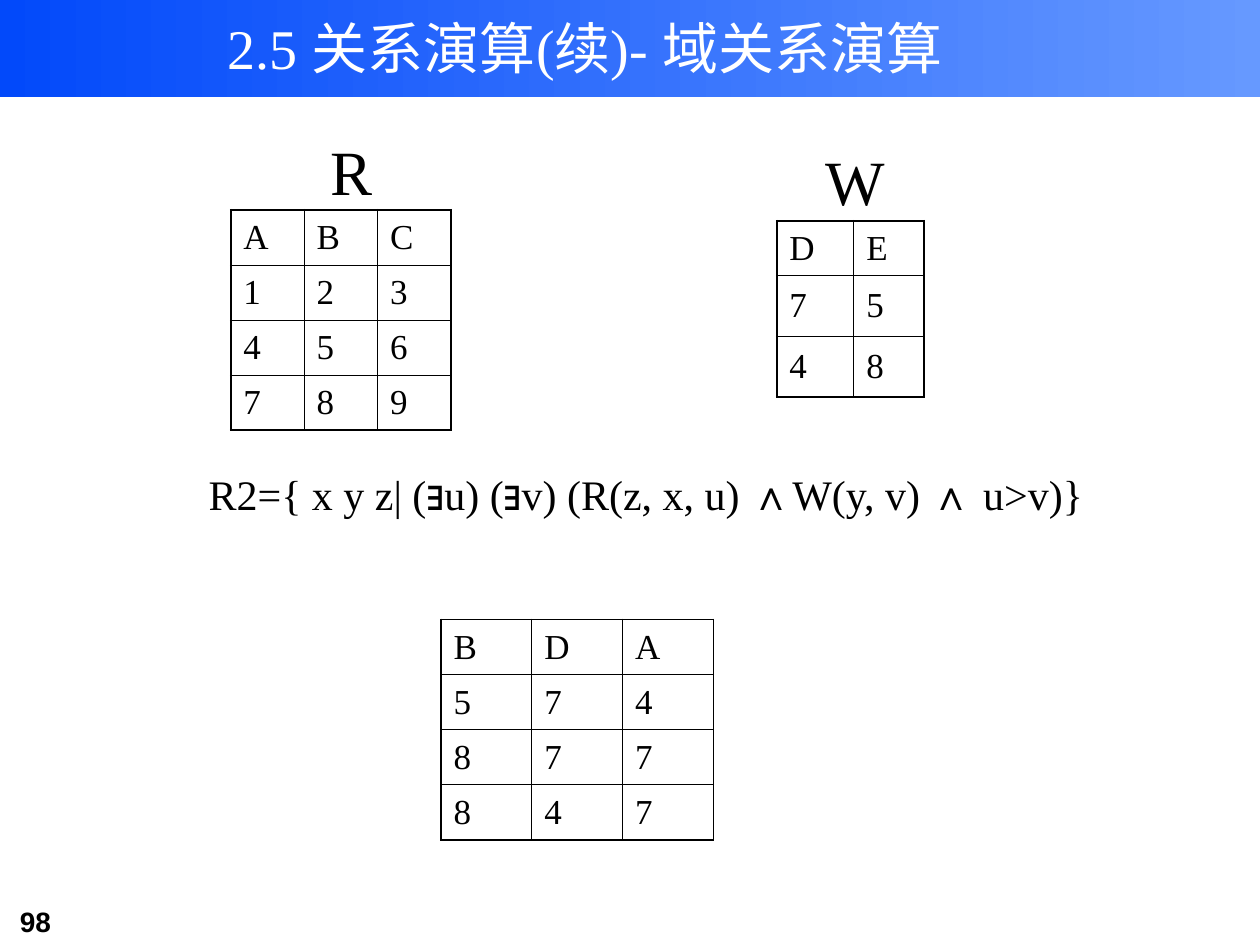
from lxml.etree import SubElement
from pptx import Presentation
from pptx.dml.color import RGBColor
from pptx.enum.shapes import MSO_SHAPE
from pptx.enum.text import MSO_ANCHOR, MSO_AUTO_SIZE, PP_ALIGN
from pptx.oxml.ns import qn
from pptx.util import Cm, Pt

SERIF, SANS = "Times New Roman", "Arial"
OUTER, INNER = Pt(1.08), Pt(0.45)


def rgb(hex_color):
    return RGBColor.from_string(hex_color)


def style(font, size, name=SERIF, color="000000", bold=False):
    font.size, font.name, font.bold = Pt(size), name, bold
    font.color.rgb = rgb(color)


prs = Presentation()
prs.slide_width, prs.slide_height = Cm(25.4), Cm(19.05)
slide = prs.slides.add_slide(prs.slide_layouts[5])

# Header band with the title in front of it
band = slide.shapes.add_shape(MSO_SHAPE.RECTANGLE, 0, 0, prs.slide_width, Cm(1.96))
band.shadow.inherit = False
band.line.fill.background()
band.fill.gradient()
band.fill.gradient_angle = 0
for stop, color in zip(band.fill.gradient_stops, ("0249FA", "6699FF")):
    stop.color.rgb = rgb(color)

title = slide.shapes.title
title.element.getparent().append(title.element)
title.left, title.top, title.width, title.height = Cm(2.64), Cm(0.1), Cm(18.31), Cm(1.7)
title.text_frame.text = "2.5 关系演算(续)- 域关系演算"
title.text_frame.vertical_anchor = MSO_ANCHOR.MIDDLE
heading = title.text_frame.paragraphs[0]
heading.alignment = PP_ALIGN.CENTER
style(heading.font, 32, color="FFFFFF")

# Relations R and W, and the result: left, top, column widths, row heights, rows
relations = [
    (4.65, 4.23, [1.48] * 3, [1.11] * 4, ["ABC", "123", "456", "789"]),
    (15.66, 4.45, [1.55, 1.42], [1.11, 1.22, 1.22], ["DE", "75", "48"]),
    (8.89, 12.49, [1.83] * 3, [1.11] * 4, ["BDA", "574", "877", "847"]),
]
for left, top, widths, heights, rows in relations:
    table = slide.shapes.add_table(
        len(rows), len(widths), Cm(left), Cm(top), Cm(sum(widths)), Cm(sum(heights))
    ).table
    table.first_row = table.horz_banding = False
    for column, width in zip(table.columns, widths):
        column.width = Cm(width)
    for row, height in zip(table.rows, heights):
        row.height = Cm(height)
    last_row, last_column = len(rows) - 1, len(widths) - 1
    for r, values in enumerate(rows):
        for c, value in enumerate(values):
            cell = table.cell(r, c)
            cell.text = value
            cell.vertical_anchor = MSO_ANCHOR.MIDDLE
            style(cell.text_frame.paragraphs[0].font, 20)
            properties = cell._tc.get_or_add_tcPr()
            on_edge = {"a:lnL": c == 0, "a:lnR": c == last_column,
                       "a:lnT": r == 0, "a:lnB": r == last_row}
            for side, is_outer in on_edge.items():
                border = SubElement(properties, qn(side), w=str(OUTER if is_outer else INNER))
                SubElement(SubElement(border, qn("a:solidFill")), qn("a:srgbClr"), val="000000")
            cell.fill.background()

# Relation names, formula and page number: runs, box, size, font, bold, alignment
formula = ["R2={ x y z| (", "∃", "u) (", "∃", "v) (R(z, x, u) ", "∧", "W(y, v) ", "∧", " u>v)}"]
labels = [
    (["R"], (6.14, 2.54, 1.9, 1.78), 36, SERIF, False, PP_ALIGN.CENTER),
    (["W"], (16.3, 2.75, 1.9, 1.78), 36, SERIF, False, PP_ALIGN.CENTER),
    (formula, (3.6, 9.31, 18.84, 1.28), 24, SERIF, False, PP_ALIGN.CENTER),
    (["98"], (0.15, 18.11, 3.1, 0.94), 16, SANS, True, PP_ALIGN.LEFT),
]
for pieces, box, size, font_name, bold, alignment in labels:
    frame = slide.shapes.add_textbox(*map(Cm, box)).text_frame
    frame.word_wrap = True
    frame.auto_size = MSO_AUTO_SIZE.SHAPE_TO_FIT_TEXT
    paragraph = frame.paragraphs[0]
    paragraph.alignment = alignment
    style(paragraph.font, size, font_name, bold=bold)
    for piece in pieces:
        run = paragraph.add_run()
        run.text = piece
        if piece in "∃∧":
            run.font.name = SANS

prs.save("out.pptx")
